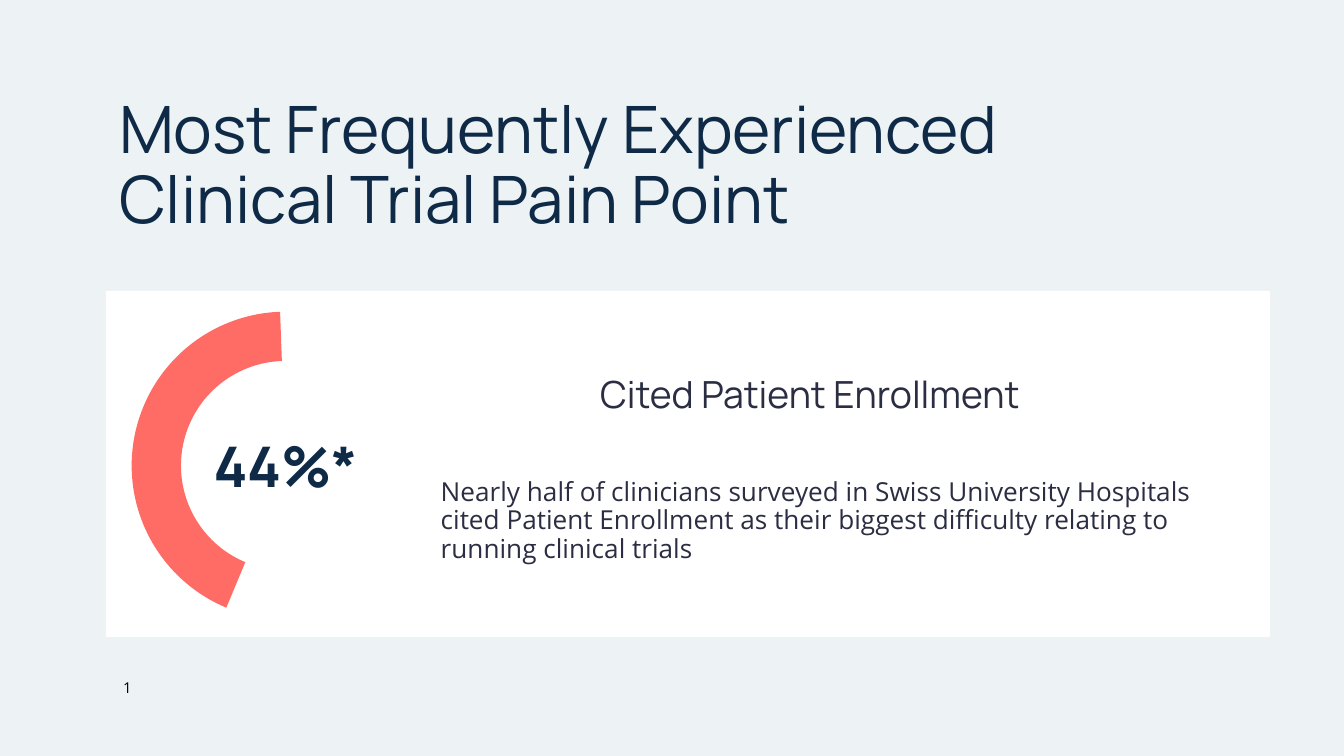
from pptx import Presentation
from pptx import util as u
from pptx.dml import color
from pptx.enum import shapes, text
from dataclasses import dataclass


@dataclass(frozen=True)
class Theme:
    back: str = "EDF2F4"
    card: str = "FFFFFF"
    navy: str = "0E2A47"
    ink: str = "2B2D42"
    coral: str = "FF6B65"
    black: str = "000000"
    head: str = "Manrope"
    body: str = "Open Sans"
    title: int = 35
    stat: int = 30
    sub: int = 20
    note: int = 14
    page: int = 8


theme = Theme()
left, mid = text.PP_ALIGN.LEFT, text.PP_ALIGN.CENTER
top, center = text.MSO_ANCHOR.TOP, text.MSO_ANCHOR.MIDDLE


def write(shape, words, face, size, hue, align=left, anchor=center, bold=False, space=None):
    frame = shape.text_frame
    frame.word_wrap = True
    frame.auto_size = text.MSO_AUTO_SIZE.NONE
    frame.vertical_anchor = anchor
    frame.margin_left = frame.margin_right = u.Cm(0.25)
    frame.margin_top = frame.margin_bottom = u.Cm(0.25)
    frame.text = words
    line = frame.paragraphs[0]
    line.alignment = align
    line.line_spacing = space
    line.font.name, line.font.size, line.font.bold = face, u.Pt(size), bold
    line.font.color.rgb = color.RGBColor.from_string(hue)


def draw(kind, box, hue=None):
    shape = slide.shapes.add_shape(kind, *map(u.Cm, box))
    shape.shadow.inherit = False
    shape.line.fill.background()
    if hue:
        shape.fill.solid()
        shape.fill.fore_color.rgb = color.RGBColor.from_string(hue)
    else:
        shape.fill.background()
    return shape


# Slide
deck = Presentation()
deck.slide_width, deck.slide_height = u.Cm(25.4), u.Cm(14.29)
slide = deck.slides.add_slide(deck.slide_layouts[5])
slide.background.fill.solid()
slide.background.fill.fore_color.rgb = color.RGBColor.from_string(theme.back)

# White card
draw(shapes.MSO_SHAPE.RECTANGLE, (2, 5.5, 22, 6.54), theme.card)

# Title
title = slide.shapes.title
title.left, title.top = u.Cm(2), u.Cm(1.58)
title.width, title.height = u.Cm(18.08), u.Cm(1.58)
write(title, "Most Frequently Experienced Clinical Trial Pain Point",
      theme.head, theme.title, theme.navy, anchor=top, space=0.9)

# Share ring: figure in the middle, arc around it
ring = (2.49, 5.89, 5.82, 5.82)
stat = draw(shapes.MSO_SHAPE.OVAL, ring)
write(stat, "44%*", theme.head, theme.stat, theme.navy, align=mid, bold=True)
arc = draw(shapes.MSO_SHAPE.BLOCK_ARC, ring, theme.coral)
arc.rotation = 270
for i, value in enumerate((121.6, 214.76, 0.16)):
    arc.adjustments[i] = value

# Finding and page number
labels = [
    ((7.87, 6.65, 14.88, 1.58), "Cited Patient Enrollment",
     theme.head, theme.sub, theme.ink, mid, center, None),
    ((8.08, 8.71, 15.21, 2.29),
     "Nearly half of clinicians surveyed in Swiss University Hospitals cited "
     "Patient Enrollment as their biggest difficulty relating to running clinical trials",
     theme.body, theme.note, theme.ink, left, center, 0.9),
    ((2.08, 12.57, 22, 0.86), "1",
     theme.body, theme.page, theme.black, left, top, None),
]
for box, words, face, size, hue, align, anchor, space in labels:
    label = slide.shapes.add_textbox(*map(u.Cm, box))
    write(label, words, face, size, hue, align, anchor, space=space)

deck.save("out.pptx")
